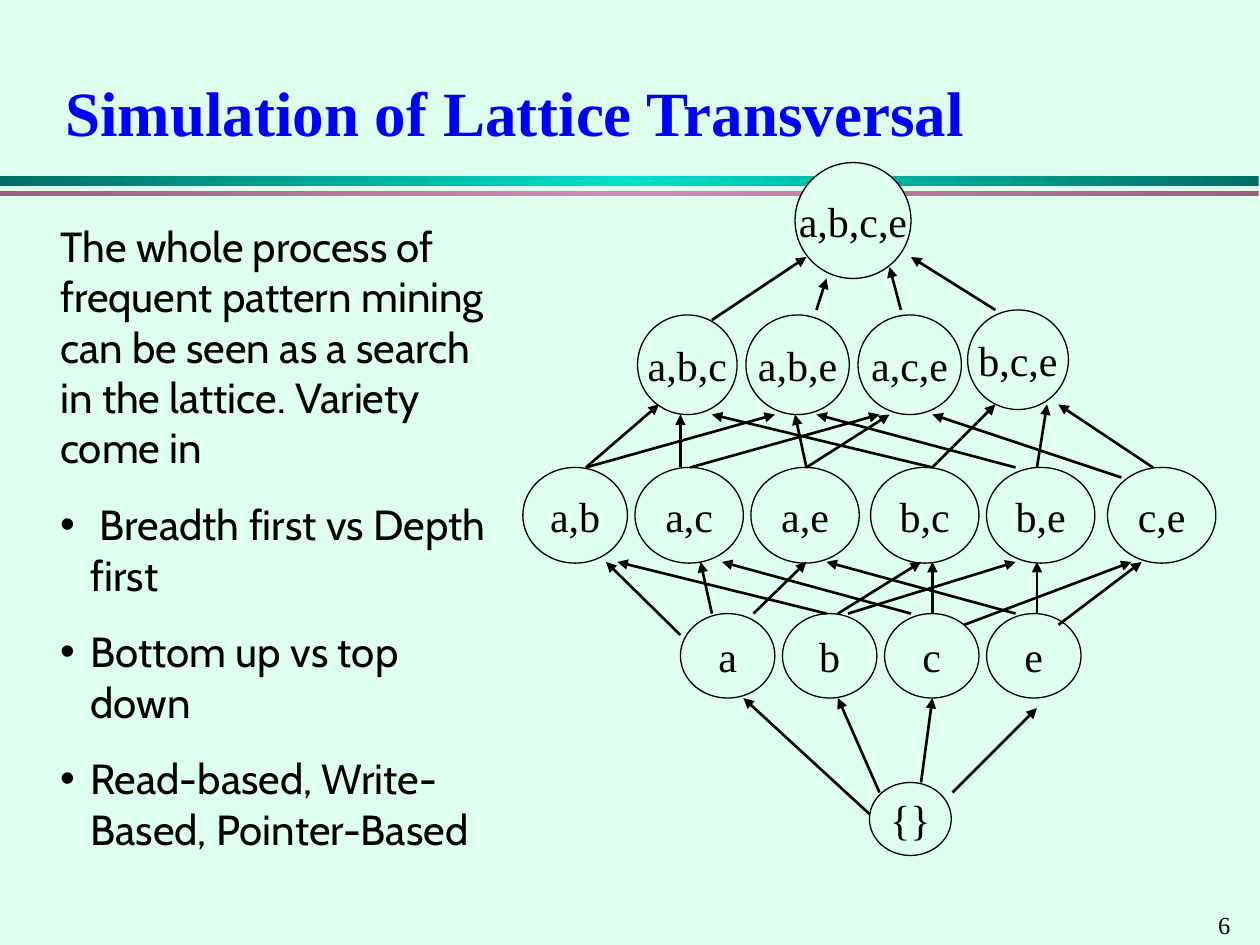
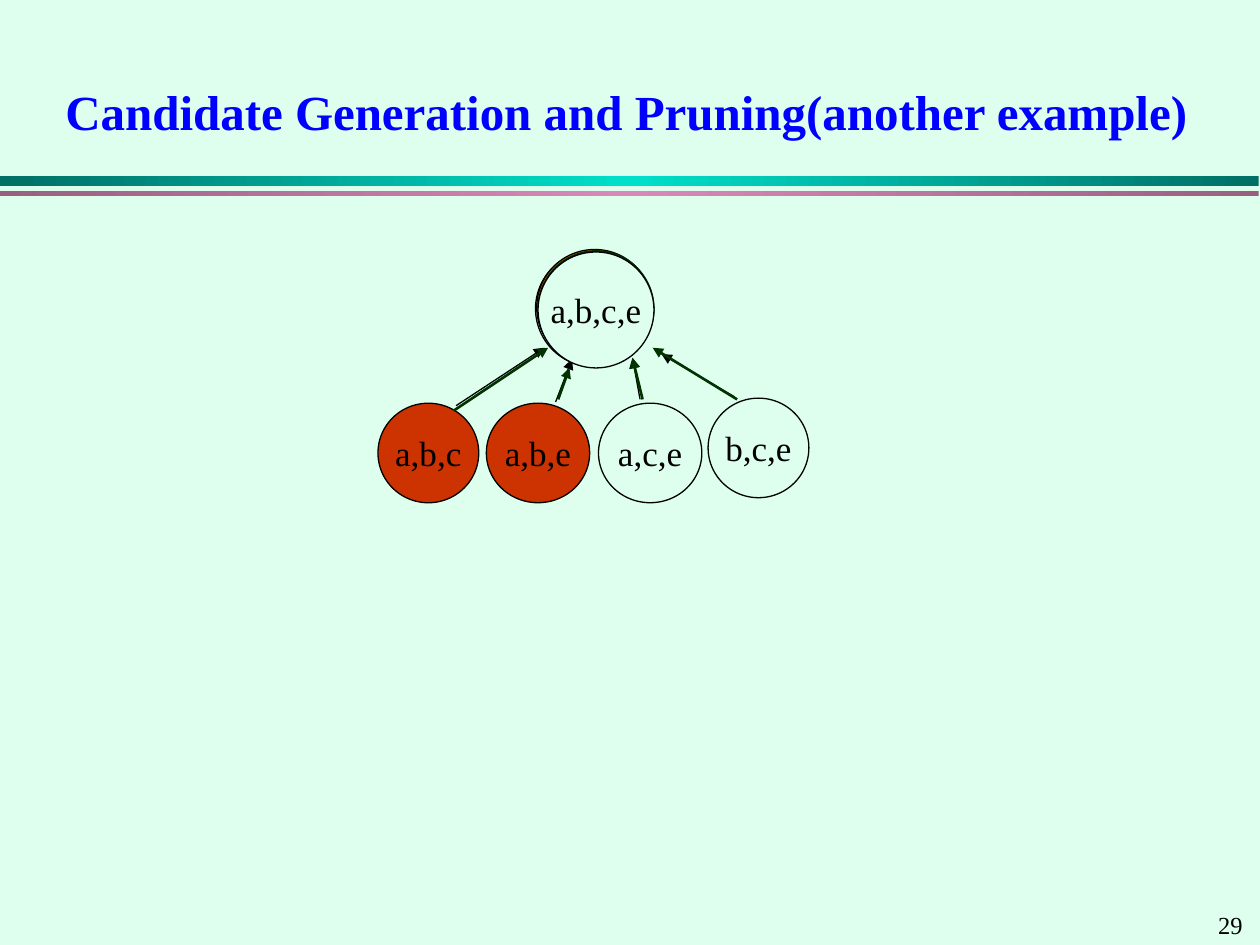
"""Builds two slides on searching a lattice of frequent patterns."""
from copy import deepcopy
from typing import NamedTuple

from lxml.etree import SubElement
from pptx import Presentation
from pptx.dml.color import RGBColor
from pptx.enum.shapes import MSO_CONNECTOR, MSO_SHAPE
from pptx.enum.text import MSO_ANCHOR, PP_ALIGN
from pptx.oxml.ns import qn
from pptx.slide import Slide
from pptx.text.text import TextFrame
from pptx.util import Pt

PX = 9144
COLORS = {
    "mint": "DEFEEE", "black": "000000", "title": "0000FF", "pruned": "CC3300",
    "orange": "FF6600", "forest": "003300", "teal": "00DFCA", "deep teal": "006F65",
    "pink": "D989B8", "plum": "976080",
}
SERIF, SANS = "Times New Roman", "Cabin"


class Band(NamedTuple):
    """A full-width stripe that is lightest in its middle."""
    top: int
    height: int
    edge: str
    middle: str


class Node(NamedTuple):
    """A circle of the lattice."""
    label: str
    left: int
    top: int
    width: int
    height: int
    fill: str | None = "mint"
    line: str = "black"


class Arrow(NamedTuple):
    """A straight arrow from a subset to a superset."""
    x1: int
    y1: int
    x2: int
    y2: int


BANDS = [Band(140, 8, "deep teal", "teal"), Band(152, 4, "plum", "pink")]

INTRO = ("The whole process of frequent pattern mining can be seen as "
         "a search in the lattice. Variety come in")
VARIANTS = [" Breadth first vs Depth first", "Bottom up vs top down",
            "Read-based, Write-Based, Pointer-Based"]

PAIRS = [Node(label, left, 371, width, 76) for label, left, width in [
    ("a,c", 504, 86), ("a,e", 596, 86), ("b,e", 783, 86),
    ("b,c", 691, 86), ("a,b", 415, 83), ("c,e", 879, 86)]]
TRIPLES = [Node("b,c,e", 768, 246, 80, 79), Node("a,b,e", 592, 250, 82, 79),
           Node("a,c,e", 681, 250, 82, 79), Node("a,b,c", 506, 250, 79, 79)]
SINGLES = [Node(label, 540 + 81 * index, 487, 75, 67) for index, label in enumerate("abce")]
ENDS = [Node("a,b,c,e", 631, 129, 92, 92), Node("{}", 690, 621, 65, 58)]

EMPTY_TO_SINGLES = [
    Arrow(756, 629, 823, 562), Arrow(731, 621, 740, 554),
    Arrow(698, 629, 665, 554), Arrow(690, 646, 590, 554)]
SINGLES_TO_PAIRS = [Arrow(x1, y1, x2, 446) for x1, y1, x2 in [
    (540, 504, 481), (565, 487, 556), (598, 487, 640), (665, 487, 731),
    (656, 487, 490), (673, 487, 806), (723, 487, 573), (740, 487, 740),
    (765, 496, 898), (806, 487, 656), (823, 487, 823), (840, 496, 906)]]
PAIRS_TO_TRIPLES = [Arrow(x1, y1, x2, y2) for x1, y1, x2, y2 in [
    (465, 371, 523, 321), (465, 371, 615, 329), (540, 371, 540, 329),
    (548, 371, 698, 329), (640, 371, 631, 329), (640, 371, 706, 329),
    (740, 371, 565, 329), (740, 371, 790, 321), (806, 371, 648, 329),
    (823, 371, 831, 321), (890, 379, 740, 329), (915, 371, 840, 321)]]
TRIPLES_TO_TOP = [
    Arrow(565, 254, 640, 204), Arrow(648, 246, 656, 221),
    Arrow(715, 246, 706, 212), Arrow(790, 246, 723, 204)]

CANDIDATES = [
    Node("b,c,e", 562, 316, 80, 79, None), Node("a,b,e", 386, 320, 82, 79, "pruned"),
    Node("a,c,e", 475, 320, 82, 79), Node("a,b,c", 300, 320, 80, 79, "pruned")]
LOWER_RINGS = [Node("", 425, 199, 92, 92), Node("", 426, 198, 92, 92, "orange")]
UPPER_RINGS = [Node("", 427, 199, 92, 92, "forest", "forest"),
               Node("a,b,c,e", 427, 200, 92, 92)]
BACK_ARROW = Arrow(583, 315, 525, 281)
THIN_ARROWS = [Arrow(362, 322, 432, 276), Arrow(441, 319, 454, 285),
               Arrow(508, 317, 502, 284)]
GREEN_ARROWS = [Arrow(443, 317, 452, 292), Arrow(360, 326, 435, 276),
                Arrow(510, 317, 502, 284), Arrow(585, 317, 518, 276)]


def rgb(name: str) -> RGBColor:
    """Look up a colour of the deck."""
    return RGBColor.from_string(COLORS[name])


def write(frame: TextFrame, text: str, *, size: int, font: str = SERIF,
          color: str = "black", bold: bool = False, align: PP_ALIGN = PP_ALIGN.LEFT,
          before: int = 0, bullet: bool = False) -> None:
    """Add one formatted paragraph, filling the empty first one if there is one."""
    para = frame.paragraphs[0] if not frame.text else frame.add_paragraph()
    para.alignment = align
    para.space_before = Pt(before)
    if bullet:
        properties = para._p.get_or_add_pPr()
        properties.set("marL", str(24 * PX))
        properties.set("indent", str(-24 * PX))
        SubElement(properties, qn("a:buFont"), typeface="Arial")
        SubElement(properties, qn("a:buChar"), char="•")
    span = para.add_run()
    span.text = text
    span.font.name = font
    span.font.size = Pt(size)
    span.font.bold = bold
    span.font.color.rgb = rgb(color)


def add_box(page: Slide, left: int, top: int, width: int, height: int,
            wrap: bool = True) -> TextFrame:
    """Add a text box and return its frame."""
    box = page.shapes.add_textbox(left * PX, top * PX, width * PX, height * PX)
    box.text_frame.word_wrap = wrap
    return box.text_frame


def add_band(page: Slide, band: Band) -> None:
    """Draw a stripe with a three-stop gradient."""
    stripe = page.shapes.add_shape(MSO_SHAPE.RECTANGLE, 0, band.top * PX,
                                   999 * PX, band.height * PX)
    stripe.shadow.inherit = False
    stripe.line.fill.background()
    stripe.fill.gradient()
    stripe.fill.gradient_angle = 0
    stop_list = next(stripe._element.iter(qn("a:gsLst")))
    stop_list.append(deepcopy(stop_list[0]))
    colors = (band.edge, band.middle, band.edge)
    for stop, color, position in zip(stripe.fill.gradient_stops, colors, (0, 0.5, 1)):
        stop.color.rgb = rgb(color)
        stop.position = position


def add_node(page: Slide, node: Node, size: int) -> None:
    """Draw a circle with its item set."""
    circle = page.shapes.add_shape(MSO_SHAPE.OVAL, node.left * PX, node.top * PX,
                                   node.width * PX, node.height * PX)
    circle.shadow.inherit = False
    if node.fill:
        circle.fill.solid()
        circle.fill.fore_color.rgb = rgb(node.fill)
    else:
        circle.fill.background()
    circle.line.color.rgb = rgb(node.line)
    circle.line.width = Pt(0.75)
    if node.label:
        circle.text_frame.word_wrap = False
        circle.text_frame.vertical_anchor = MSO_ANCHOR.MIDDLE
        write(circle.text_frame, node.label, size=size, align=PP_ALIGN.CENTER)


def add_arrow(page: Slide, arrow: Arrow, color: str = "black", weight: float = 1.5) -> None:
    """Draw a line with a triangle at its end."""
    line = page.shapes.add_connector(MSO_CONNECTOR.STRAIGHT, *(value * PX for value in arrow))
    line.line.color.rgb = rgb(color)
    line.line.width = Pt(weight)
    SubElement(line.line._get_or_add_ln(), qn("a:tailEnd"), type="triangle")
    SubElement(line._element.spPr, qn("a:effectLst"))


def add_page(deck: Presentation, title: str, size: int, number: int) -> Slide:
    """Add a page with the shared background, bands, title and number."""
    page = deck.slides.add_slide(deck.slide_layouts[6])
    page.background.fill.solid()
    page.background.fill.fore_color.rgb = rgb("mint")
    for band in BANDS:
        add_band(page, band)
    write(add_box(page, 957, 717, 43, 34, wrap=False), str(number), size=14)
    heading = add_box(page, 42, 42, 917, 92)
    heading.vertical_anchor = MSO_ANCHOR.MIDDLE
    write(heading, title, size=size, color="title", bold=True)
    return page


def build_lattice(deck: Presentation) -> None:
    """Build the page with the whole lattice."""
    page = add_page(deck, "Simulation of Lattice Transversal", 36, 6)
    for node in PAIRS + TRIPLES + SINGLES + ENDS:
        add_node(page, node, 24)
    for arrow in EMPTY_TO_SINGLES + SINGLES_TO_PAIRS + PAIRS_TO_TRIPLES + TRIPLES_TO_TOP:
        add_arrow(page, arrow)
    body = add_box(page, 38, 170, 370, 513)
    write(body, INTRO, size=24, font=SANS, before=15)
    for variant in VARIANTS:
        write(body, variant, size=24, font=SANS, before=15, bullet=True)


def build_pruning(deck: Presentation) -> None:
    """Build the page with the pruned candidates."""
    page = add_page(deck, "Candidate Generation and Pruning(another example)", 28, 29)
    add_arrow(page, BACK_ARROW, weight=0.75)
    for node in CANDIDATES + LOWER_RINGS:
        add_node(page, node, 20)
    for arrow in THIN_ARROWS:
        add_arrow(page, arrow, weight=0.75)
    for arrow in GREEN_ARROWS:
        add_arrow(page, arrow, color="forest")
    for node in UPPER_RINGS:
        add_node(page, node, 20)


def main() -> None:
    """Build and save the deck."""
    deck = Presentation()
    deck.slide_width, deck.slide_height = 1000 * PX, 750 * PX
    build_lattice(deck)
    build_pruning(deck)
    deck.save("out.pptx")


if __name__ == "__main__":
    main()
